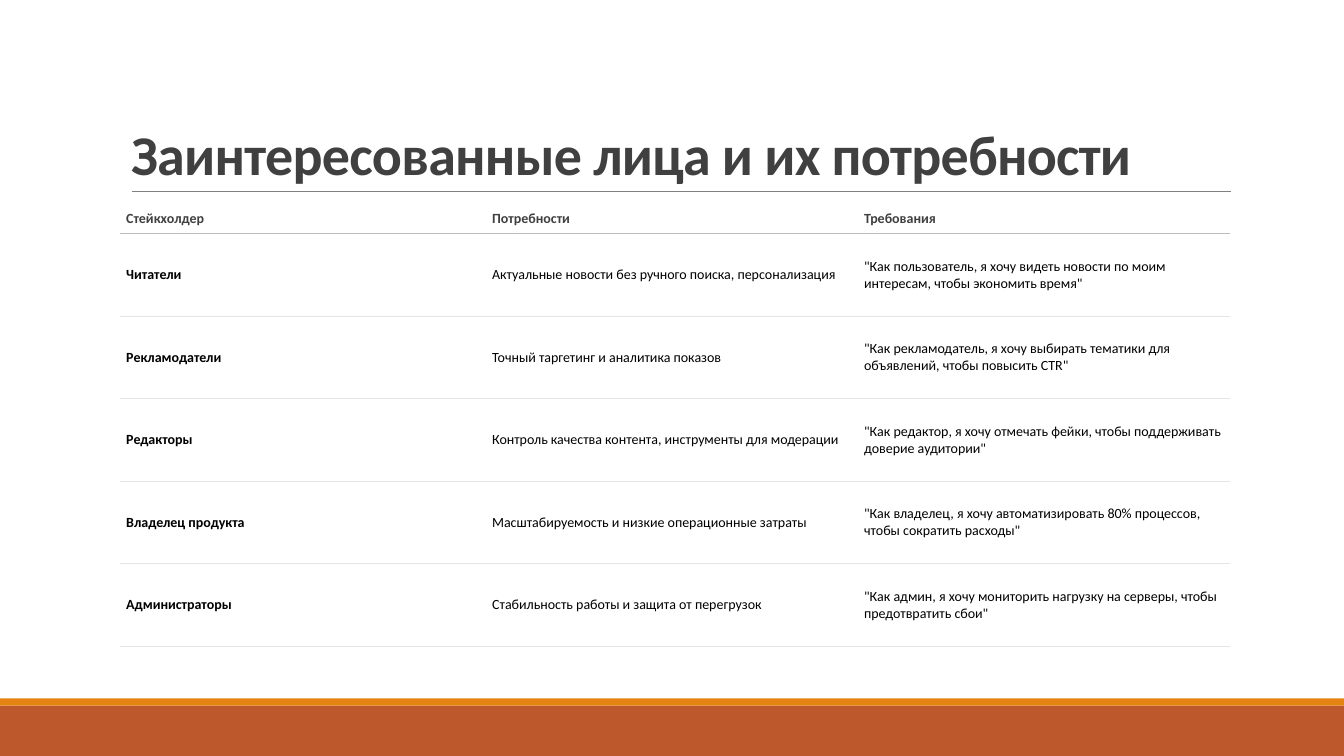
"""Build the slide on stakeholders and their needs."""
from dataclasses import dataclass

from lxml import etree
from pptx import Presentation
from pptx.dml.color import RGBColor
from pptx.enum import shapes, text
from pptx.oxml import ns
from pptx.util import Pt


@dataclass(frozen=True)
class Theme:
    font: str = "Calibri"
    title_size: float = 40
    body_size: float = 10
    heading: str = "404040"
    body: str = "000000"
    paper: str = "FFFFFF"
    title_rule: str = "808080"
    header_rule: str = "BBBBBB"
    row_rule: str = "E5E5E5"
    footer: str = "BD582C"
    footer_edge: str = "E48312"


@dataclass(frozen=True)
class Band:
    top: float
    height: float
    color: str


@dataclass(frozen=True)
class Stakeholder:
    role: str
    needs: str
    requirement: str


THEME = Theme()
SLIDE_WIDTH, SLIDE_HEIGHT = 960, 540
BANDS = (Band(504, 36, THEME.footer), Band(498.96, 5.04, THEME.footer_edge))
COLUMN_WIDTHS = (261.4, 265.7, 265.7)
HEADER_HEIGHT, ROW_HEIGHT = 21.3, 59
CELL_INSET = 4.5
HEADER = Stakeholder("Стейкхолдер", "Потребности", "Требования")
STAKEHOLDERS = (
    Stakeholder("Читатели", "Актуальные новости без ручного поиска, персонализация",
                '"Как пользователь, я хочу видеть новости по моим интересам, чтобы экономить время"'),
    Stakeholder("Рекламодатели", "Точный таргетинг и аналитика показов",
                '"Как рекламодатель, я хочу выбирать тематики для объявлений, чтобы повысить CTR"'),
    Stakeholder("Редакторы", "Контроль качества контента, инструменты для модерации",
                '"Как редактор, я хочу отмечать фейки, чтобы поддерживать доверие аудитории"'),
    Stakeholder("Владелец продукта", "Масштабируемость и низкие операционные затраты",
                '"Как владелец, я хочу автоматизировать 80% процессов, чтобы сократить расходы"'),
    Stakeholder("Администраторы", "Стабильность работы и защита от перегрузок",
                '"Как админ, я хочу мониторить нагрузку на серверы, чтобы предотвратить сбои"'),
)


def rgb(color: str) -> RGBColor:
    return RGBColor.from_string(color)


def write(frame, words: str, size: float, color: str, bold: bool):
    frame.text = words
    paragraph = frame.paragraphs[0]
    paragraph.alignment = text.PP_ALIGN.LEFT
    font = paragraph.runs[0].font
    font.name, font.size, font.bold = THEME.font, Pt(size), bold
    font.color.rgb = rgb(color)
    return paragraph


def draw_band(slide, band: Band) -> None:
    stripe = slide.shapes.add_shape(
        shapes.MSO_SHAPE.RECTANGLE, 0, Pt(band.top), Pt(SLIDE_WIDTH), Pt(band.height))
    stripe.shadow.inherit = False
    stripe.fill.solid()
    stripe.fill.fore_color.rgb = rgb(band.color)
    stripe.line.fill.background()


def draw_title_rule(slide) -> None:
    rule = slide.shapes.add_connector(
        shapes.MSO_CONNECTOR.STRAIGHT, Pt(94.3), Pt(136.8), Pt(879.1), Pt(136.8))
    rule.line.color.rgb = rgb(THEME.title_rule)
    rule.line.width = Pt(0.5)
    etree.SubElement(rule._element.spPr, ns.qn("a:effectLst"))


def draw_title(slide) -> None:
    title = slide.shapes.title
    title.left, title.top, title.width, title.height = Pt(86.4), Pt(22.6), Pt(792), Pt(114.2)
    frame = title.text_frame
    frame.word_wrap = True
    frame.auto_size = text.MSO_AUTO_SIZE.NONE
    frame.vertical_anchor = text.MSO_ANCHOR.BOTTOM
    heading = write(frame, "Заинтересованные лица и их потребности",
                    THEME.title_size, THEME.heading, True)
    heading.line_spacing = 0.85
    heading.runs[0].font._element.set("spc", "-50")


def set_border(cell, side: str, color: str | None) -> None:
    border = etree.SubElement(cell._tc.get_or_add_tcPr(), ns.qn(f"a:ln{side}"))
    if color is None:
        border.set("w", "0")
        etree.SubElement(border, ns.qn("a:noFill"))
        return
    border.set("w", str(Pt(0.75)))
    fill = etree.SubElement(border, ns.qn("a:solidFill"))
    etree.SubElement(fill, ns.qn("a:srgbClr")).set("val", color)


def fill_cell(cell, words: str, color: str, bold: bool,
              rule_above: str | None, rule_below: str) -> None:
    cell.margin_left = cell.margin_right = Pt(CELL_INSET)
    cell.margin_top = cell.margin_bottom = Pt(CELL_INSET)
    cell.vertical_anchor = text.MSO_ANCHOR.MIDDLE
    for side, rule in (("L", None), ("R", None), ("T", rule_above), ("B", rule_below)):
        set_border(cell, side, rule)
    cell.fill.solid()
    cell.fill.fore_color.rgb = rgb(THEME.paper)
    write(cell.text_frame, words, THEME.body_size, color, bold)


def draw_table(slide) -> None:
    entries = (HEADER, *STAKEHOLDERS)
    heights = [HEADER_HEIGHT] + [ROW_HEIGHT] * len(STAKEHOLDERS)
    table = slide.shapes.add_table(
        len(entries), len(COLUMN_WIDTHS), Pt(85.7), Pt(145.5),
        Pt(sum(COLUMN_WIDTHS)), Pt(sum(heights))).table
    table.first_row = table.horz_banding = False
    for column, width in zip(table.columns, COLUMN_WIDTHS):
        column.width = Pt(width)
    rule_above = None
    for row, (entry, height) in enumerate(zip(entries, heights)):
        table.rows[row].height = Pt(height)
        is_header = row == 0
        rule_below = THEME.header_rule if is_header else THEME.row_rule
        color = THEME.heading if is_header else THEME.body
        for column, words in enumerate((entry.role, entry.needs, entry.requirement)):
            fill_cell(table.cell(row, column), words, color,
                      is_header or column == 0, rule_above, rule_below)
        rule_above = rule_below


def main() -> None:
    deck = Presentation()
    deck.slide_width, deck.slide_height = Pt(SLIDE_WIDTH), Pt(SLIDE_HEIGHT)
    slide = deck.slides.add_slide(deck.slide_layouts.get_by_name("Title Only"))
    slide.background.fill.solid()
    slide.background.fill.fore_color.rgb = rgb(THEME.paper)
    for band in BANDS:
        draw_band(slide, band)
    draw_title_rule(slide)
    draw_title(slide)
    draw_table(slide)
    deck.save("out.pptx")


if __name__ == "__main__":
    main()
